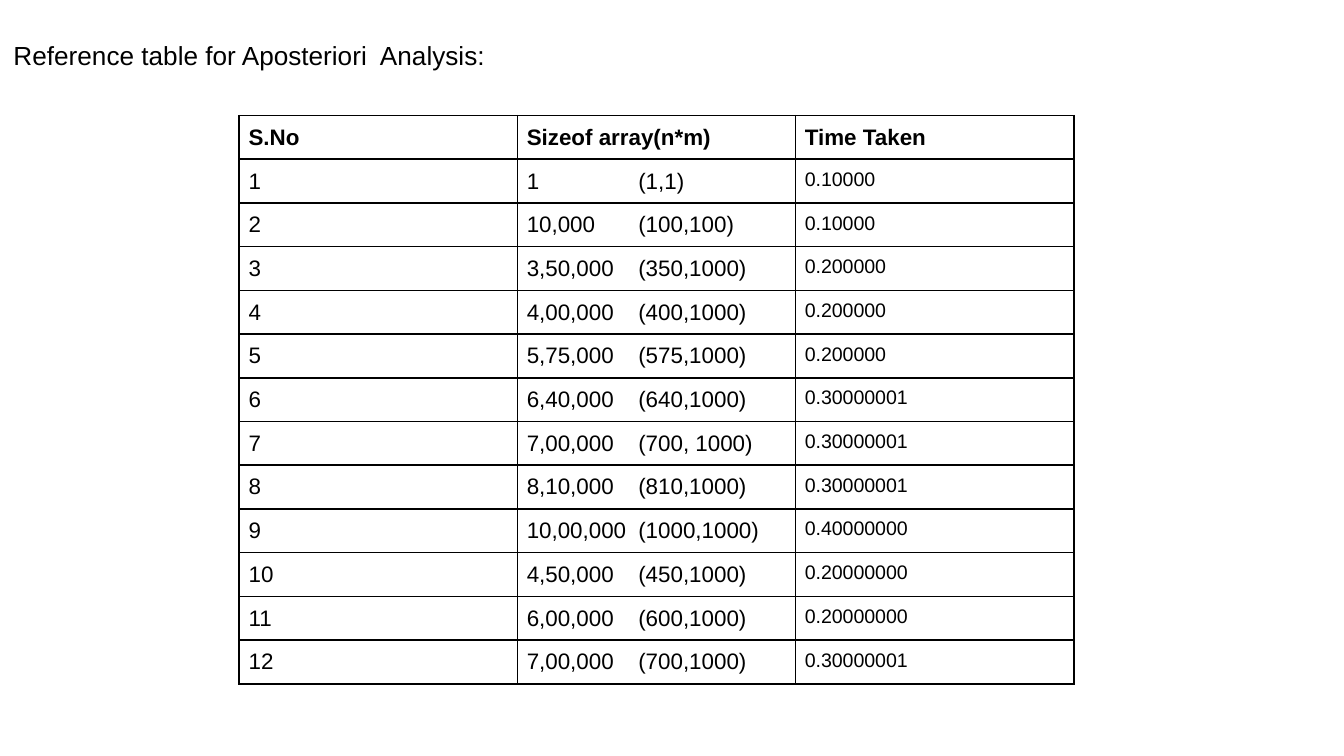
from lxml.etree import SubElement
from pptx import Presentation
from pptx.dml.color import RGBColor
from pptx.enum.text import MSO_ANCHOR, PP_ALIGN
from pptx.oxml.ns import qn
from pptx.util import Inches, Pt

BLACK = RGBColor(0x00, 0x00, 0x00)
FONT = "Arial"
HEADERS = ["S.No", "Sizeof array(n*m)", "Time Taken"]
MEASUREMENTS = [
    ("1", "(1,1)", "0.10000"),
    ("10,000", "(100,100)", "0.10000"),
    ("3,50,000", "(350,1000)", "0.200000"),
    ("4,00,000", "(400,1000)", "0.200000"),
    ("5,75,000", "(575,1000)", "0.200000"),
    ("6,40,000", "(640,1000)", "0.30000001"),
    ("7,00,000", "(700, 1000)", "0.30000001"),
    ("8,10,000", "(810,1000)", "0.30000001"),
    ("10,00,000", "(1000,1000)", "0.40000000"),
    ("4,50,000", "(450,1000)", "0.20000000"),
    ("6,00,000", "(600,1000)", "0.20000000"),
    ("7,00,000", "(700,1000)", "0.30000001"),
]


def format_text(para, size, bold=False):
    for span in para.runs:
        span.font.name = FONT
        span.font.size = Pt(size)
        span.font.bold = bold
        span.font.color.rgb = BLACK


def add_borders(cell):
    properties = cell._tc.get_or_add_tcPr()
    for position, side in enumerate(("a:lnL", "a:lnR", "a:lnT", "a:lnB")):
        line = properties.makeelement(qn(side), {"w": str(Pt(1))})
        fill = SubElement(line, qn("a:solidFill"))
        SubElement(fill, qn("a:srgbClr"), val=str(BLACK))
        properties.insert(position, line)


# Widescreen page, 16:9
deck = Presentation()
deck.slide_width = Inches(10)
deck.slide_height = Inches(10) * 9 // 16
page = deck.slides.add_slide(deck.slide_layouts[5])

# Title
title = page.shapes.title
title.left, title.top = Inches(0), Inches(0.16)
title.width, title.height = Inches(10), Inches(0.5)
frame = title.text_frame
frame.text = "Reference table for Aposteriori  Analysis:"
frame.word_wrap = True
frame.vertical_anchor = MSO_ANCHOR.TOP
frame.margin_left = frame.margin_right = Inches(0.1)
frame.margin_top = frame.margin_bottom = Inches(0.1)
para = frame.paragraphs[0]
para.alignment = PP_ALIGN.LEFT
para.line_spacing = 1.15
para.space_before = Pt(0)
para.space_after = Pt(12)
format_text(para, 14)

# Table of timings
rows = [HEADERS]
for number, (size, shape, time) in enumerate(MEASUREMENTS, start=1):
    rows.append([str(number), f"{size}\t{shape}", time])
table = page.shapes.add_table(
    len(rows), len(HEADERS), Inches(1.78), Inches(0.86), Inches(6.21), Inches(4.23)
).table
table.horz_banding = False

for row_index, row in enumerate(rows):
    is_header = row_index == 0
    for column_index, text in enumerate(row):
        cell = table.cell(row_index, column_index)
        cell.fill.background()
        cell.margin_left = cell.margin_right = cell.margin_top = Inches(0.07)
        cell.margin_bottom = Inches(0.06)
        add_borders(cell)
        para = cell.text_frame.paragraphs[0]
        para.text = text
        is_time = column_index == 2 and not is_header
        format_text(para, 10.5 if is_time else 12, bold=is_header)
        # Line up the dimensions after the array size
        if "\t" in text:
            tabs = SubElement(para._p.get_or_add_pPr(), qn("a:tabLst"))
            SubElement(tabs, qn("a:tab"), pos=str(Inches(0.83)), algn="l")

deck.save("out.pptx")
